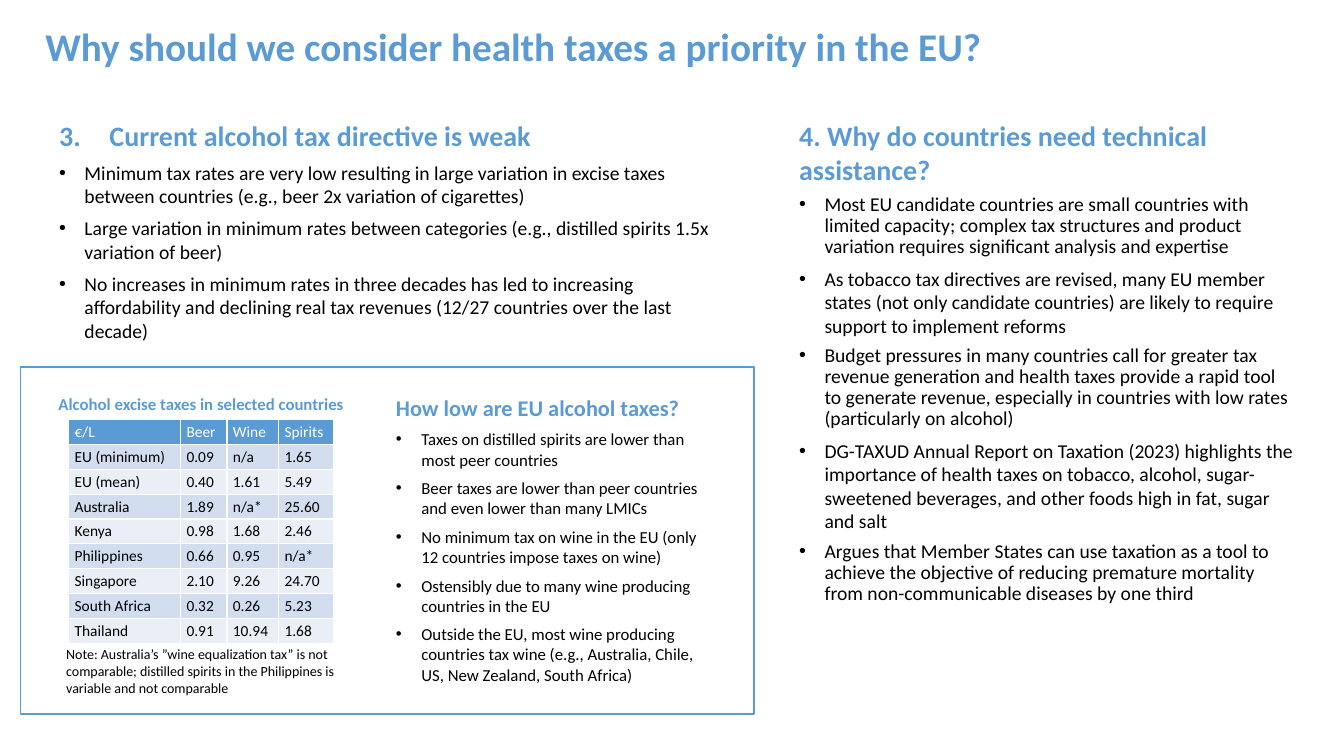
from lxml import etree
from pptx import Presentation
from pptx.dml.color import RGBColor
from pptx.enum import shapes, text
from pptx.oxml import ns
from pptx.util import Cm, Pt

FONT = "Calibri"
HUES = {"blue": "5B9BD5", "ink": "000000", "white": "FFFFFF",
        "band": "D2DEEF", "pale": "EAEFF7"}

TAX = [
    "Minimum tax rates are very low resulting in large variation in excise taxes between countries (e.g., beer 2x variation of cigarettes)",
    "Large variation in minimum rates between categories (e.g., distilled spirits 1.5x variation of beer)",
    "No increases in minimum rates in three decades has led to increasing affordability and declining real tax revenues (12/27 countries over the last decade)",
]
NEEDS = [
    "Most EU candidate countries are small countries with limited capacity; complex tax structures and product variation requires significant analysis and expertise",
    "As tobacco tax directives are revised, many EU member states (not only candidate countries) are likely to require support to implement reforms",
    "Budget pressures in many countries call for greater tax revenue generation and health taxes provide a rapid tool to generate revenue, especially in countries with low rates (particularly on alcohol)",
    "DG-TAXUD Annual Report on Taxation (2023) highlights the importance of health taxes on tobacco, alcohol, sugar-sweetened beverages, and other foods high in fat, sugar and salt",
    "Argues that Member States can use taxation as a tool to achieve the objective of reducing premature mortality from non-communicable diseases by one third",
]
LOWS = [
    "Taxes on distilled spirits are lower than most peer countries",
    "Beer taxes are lower than peer countries and even lower than many LMICs",
    "No minimum tax on wine in the EU (only 12 countries impose taxes on wine)",
    "Ostensibly due to many wine producing countries in the EU",
    "Outside the EU, most wine producing countries tax wine (e.g., Australia, Chile, US, New Zealand, South Africa)",
]
NOTE = "Note: Australia’s ”wine equalization tax” is not comparable; distilled spirits in the Philippines is variable and not comparable"
RATES = [
    ("€/L", "Beer", "Wine", "Spirits"),
    ("EU (minimum)", "0.09", "n/a", "1.65"),
    ("EU (mean)", "0.40", "1.61", "5.49"),
    ("Australia", "1.89", "n/a*", "25.60"),
    ("Kenya", "0.98", "1.68", "2.46"),
    ("Philippines", "0.66", "0.95", "n/a*"),
    ("Singapore", "2.10", "9.26", "24.70"),
    ("South Africa", "0.32", "0.26", "5.23"),
    ("Thailand", "0.91", "10.94", "1.68"),
]


def hue(name):
    """Return the named colour."""
    return RGBColor.from_string(HUES[name])


def style(para, size, tint="ink", bold=False):
    """Set the font of a whole paragraph."""
    font = para.font
    font.name, font.size, font.bold = FONT, Pt(size), bold
    font.color.rgb = hue(tint)


def mark(para, tag, indent, **attrs):
    """Give a paragraph a hanging bullet or number."""
    props = para._p.get_or_add_pPr()
    props.set("marL", str(Cm(indent)))
    props.set("indent", str(-Cm(indent)))
    face = "Arial" if tag == "a:buChar" else FONT
    etree.SubElement(props, ns.qn("a:buFont")).set("typeface", face)
    etree.SubElement(props, ns.qn(tag), attrs)


def add_text(slide, box, words, size, tint="ink", bold=False):
    """Add a wrapping text box with one paragraph and return its frame."""
    frame = slide.shapes.add_textbox(*map(Cm, box)).text_frame
    frame.word_wrap = True
    para = frame.paragraphs[0]
    para.text = words
    style(para, size, tint, bold)
    return frame


def add_title(slide, box, words):
    """Place and format the slide title."""
    title = slide.shapes.title
    title.left, title.top, title.width, title.height = map(Cm, box)
    frame = title.text_frame
    frame.text = words
    frame.vertical_anchor = text.MSO_ANCHOR.TOP
    frame.auto_size = text.MSO_AUTO_SIZE.NONE
    para = frame.paragraphs[0]
    para.alignment = text.PP_ALIGN.LEFT
    style(para, 28, "blue", True)


def add_points(slide, box, head, items, sizes, start=None, tight=1.0):
    """Add a heading with bullets, every second one set apart by space."""
    frame = slide.shapes.add_textbox(*map(Cm, box)).text_frame
    frame.word_wrap = True
    para = frame.paragraphs[0]
    para.text = head
    if start:
        mark(para, "a:buAutoNum", 1.27, type="arabicPeriod", startAt=str(start))
    para.space_after = Pt(6)
    style(para, sizes[0], "blue", True)
    for i, item in enumerate(items):
        para = frame.add_paragraph()
        para.text = item
        mark(para, "a:buChar", 0.64, char="•")
        if i % 2:
            para.space_before = para.space_after = Pt(6)
        else:
            para.line_spacing = tight
        style(para, sizes[1])


def add_rates(slide, left, top):
    """Add the table of excise taxes."""
    cols, high = (2.82, 1.17, 1.3, 1.4), 0.62
    grid = slide.shapes.add_table(
        len(RATES), len(cols), Cm(left), Cm(top),
        Cm(sum(cols)), Cm(high * len(RATES))).table
    for col, wide in zip(grid.columns, cols):
        col.width = Cm(wide)
    for r, row in enumerate(RATES):
        grid.rows[r].height = Cm(high)
        fill = "blue" if r == 0 else ("pale", "band")[r % 2]
        for c, words in enumerate(row):
            cell = grid.cell(r, c)
            cell.text = words
            cell.margin_left = cell.margin_right = Cm(0.15)
            cell.margin_top = cell.margin_bottom = Cm(0.08)
            cell.fill.solid()
            cell.fill.fore_color.rgb = hue(fill)
            style(cell.text_frame.paragraphs[0], 11, "ink" if r else "white")


def add_panel(slide, box):
    """Add the framed panel with the table, its note and the key points."""
    left, top = box[:2]
    frame = slide.shapes.add_shape(
        shapes.MSO_SHAPE.RECTANGLE, *map(Cm, box))
    frame.shadow.inherit = False
    frame.fill.background()
    frame.line.color.rgb = hue("blue")
    frame.line.width = Pt(1)
    add_rates(slide, left + 1.22, top + 1.32)
    add_points(slide, (left + 9.22, top + 0.55, 8.61, 6.88),
               "How low are EU alcohol taxes?", LOWS, (16, 12))
    add_text(slide, (left + 0.91, top + 6.9, 8.36, 1.6), NOTE, 10)
    label = add_text(slide, (left + 0.38, top + 0.55, 8.36, 0.77),
                     "Alcohol excise taxes in selected countries",
                     12, "blue", True)
    label.paragraphs[0].alignment = text.PP_ALIGN.CENTER


def main():
    """Build and save the slide."""
    deck = Presentation()
    deck.slide_width, deck.slide_height = Cm(33.87), Cm(19.05)
    slide = deck.slides.add_slide(deck.slide_layouts[5])
    add_title(slide, (0.89, 0.43, 31.72, 1.6),
              "Why should we consider health taxes a priority in the EU?")
    add_points(slide, (19.89, 2.87, 12.98, 15),
               "4. Why do countries need technical assistance?",
               NEEDS, (20, 14), tight=0.9)
    add_points(slide, (1.24, 2.87, 16.97, 6.2),
               "Current alcohol tax directive is weak", TAX, (20, 14), start=3)
    add_panel(slide, (0.51, 9.25, 18.49, 8.74))
    deck.save("out.pptx")


if __name__ == "__main__":
    main()
